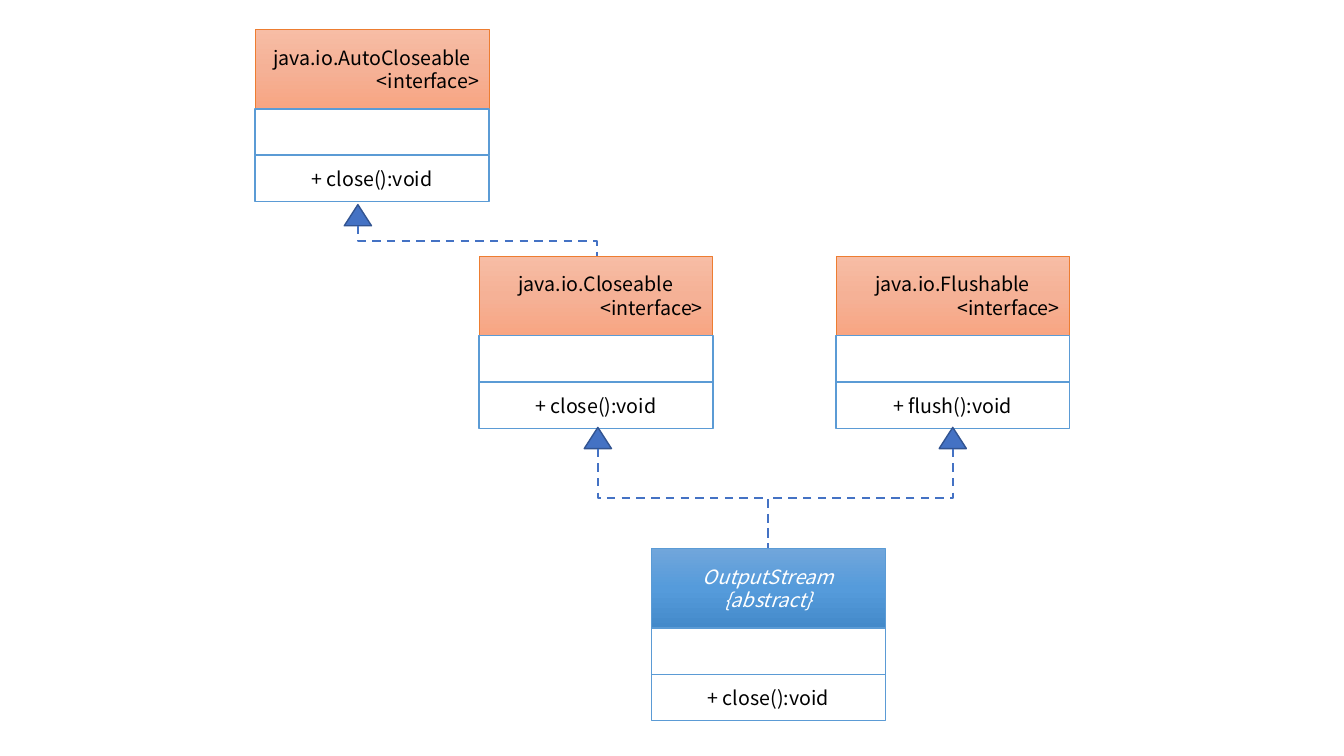
from copy import deepcopy

from lxml import etree
from pptx import Presentation
from pptx.dml.color import RGBColor
from pptx.enum.dml import MSO_LINE
from pptx.enum.shapes import MSO_CONNECTOR, MSO_SHAPE
from pptx.enum.text import MSO_ANCHOR, PP_ALIGN
from pptx.oxml.ns import qn
from pptx.util import Inches, Pt

RECTANGLE = MSO_SHAPE.RECTANGLE
TRIANGLE = MSO_SHAPE.ISOSCELES_TRIANGLE
ELBOW = MSO_CONNECTOR.ELBOW
DASH = MSO_LINE.DASH
MIDDLE = MSO_ANCHOR.MIDDLE
CENTER = PP_ALIGN.CENTER
RIGHT = PP_ALIGN.RIGHT

FONT = "Noto Sans CJK SC"
BLANK_LAYOUT = 6
BOX_WIDTH = 2.32
HEADER_HEIGHT = 0.79
ROW_HEIGHT = 0.46
HEAD_WIDTH = 0.27
HEAD_HEIGHT = 0.21
BLUE = "5B9BD5"
INTERFACE = {"gradient": ("F7BDA5", "F5B196", "F8A582"), "line": "ED7D31"}
ABSTRACT = {"gradient": ("71A6DB", "559BDB", "448ACA"), "line": BLUE}


def color(hex_value):
    return RGBColor.from_string(hex_value)


def fill_gradient(shape, colors):
    shape.fill.gradient()
    shape.fill.gradient_angle = 270
    stop_list = shape.fill._xPr.find(qn("a:gradFill")).find(qn("a:gsLst"))
    stop_list.insert(1, deepcopy(stop_list[0]))
    for index, stop in enumerate(shape.fill.gradient_stops):
        stop.position = index / 2
        stop.color.rgb = color(colors[index])


def add_box(slide, kind, left, top, width, height, line, line_width=1, fill="FFFFFF", gradient=None):
    shape = slide.shapes.add_shape(kind, Inches(left), Inches(top), Inches(width), Inches(height))
    shape.shadow.inherit = False
    if gradient:
        fill_gradient(shape, gradient)
    else:
        shape.fill.solid()
        shape.fill.fore_color.rgb = color(fill)
    shape.line.color.rgb = color(line)
    shape.line.width = Pt(line_width)
    return shape


def write_text(shape, lines, font_color="000000", italic=False, last_alignment=CENTER):
    frame = shape.text_frame
    frame.word_wrap = True
    frame.vertical_anchor = MIDDLE
    for index, line in enumerate(lines):
        paragraph = frame.paragraphs[0] if index == 0 else frame.add_paragraph()
        paragraph.alignment = last_alignment if index == len(lines) - 1 else CENTER
        run = paragraph.add_run()
        run.text = line
        run.font.name = FONT
        run.font.size = Pt(14)
        run.font.italic = italic
        run.font.color.rgb = color(font_color)


def add_class(slide, left, top, name, stereotype, method, style, **text_format):
    header = add_box(slide, RECTANGLE, left, top, BOX_WIDTH, HEADER_HEIGHT, line_width=0.5, **style)
    write_text(header, [name, stereotype], **text_format)
    row_top = top + HEADER_HEIGHT
    add_box(slide, RECTANGLE, left, row_top, BOX_WIDTH, ROW_HEIGHT, BLUE)
    methods = add_box(slide, RECTANGLE, left, row_top + ROW_HEIGHT, BOX_WIDTH, ROW_HEIGHT, BLUE)
    write_text(methods, [method])


def add_realization(slide, head_x, head_top, child_x, child_top):
    add_box(slide, TRIANGLE, head_x - HEAD_WIDTH / 2, head_top, HEAD_WIDTH, HEAD_HEIGHT,
            "325491", fill="4472C4")
    start_y = head_top + HEAD_HEIGHT
    drop, run = child_top - start_y, abs(child_x - head_x)
    left = (head_x + child_x - drop) / 2
    top = (start_y + child_top - run) / 2
    connector = slide.shapes.add_connector(
        ELBOW, Inches(left), Inches(top), Inches(left + drop), Inches(top + run))
    properties = connector._element.spPr
    transform = properties.find(qn("a:xfrm"))
    if child_x > head_x:
        transform.set("rot", str(270 * 60000))
        transform.set("flipH", "1")
    else:
        transform.set("rot", str(90 * 60000))
    connector.line.color.rgb = color("4472C4")
    connector.line.width = Pt(1.5)
    connector.line.dash_style = DASH
    etree.SubElement(properties, qn("a:effectLst"))


def main():
    presentation = Presentation()
    presentation.slide_width = Inches(13.33)
    presentation.slide_height = Inches(7.5)
    slide = presentation.slides.add_slide(presentation.slide_layouts[BLANK_LAYOUT])

    for left, top, name, method in (
        (8.29, 2.54, "java.io.Flushable", "+ flush():void"),
        (4.75, 2.54, "java.io.Closeable", "+ close():void"),
        (2.53, 0.29, "java.io.AutoCloseable", "+ close():void"),
    ):
        add_class(slide, left, top, name, "<interface>", method, INTERFACE, last_alignment=RIGHT)
    add_class(slide, 6.46, 5.44, "OutputStream", "{abstract}", "+ close():void", ABSTRACT,
              font_color="FFFFFF", italic=True)

    for head_x, head_top, child_x, child_top in (
        (5.93, 4.24, 7.62, 5.44),
        (9.45, 4.24, 7.62, 5.44),
        (3.55, 2.03, 5.92, 2.54),
    ):
        add_realization(slide, head_x, head_top, child_x, child_top)

    presentation.save("out.pptx")


main()
